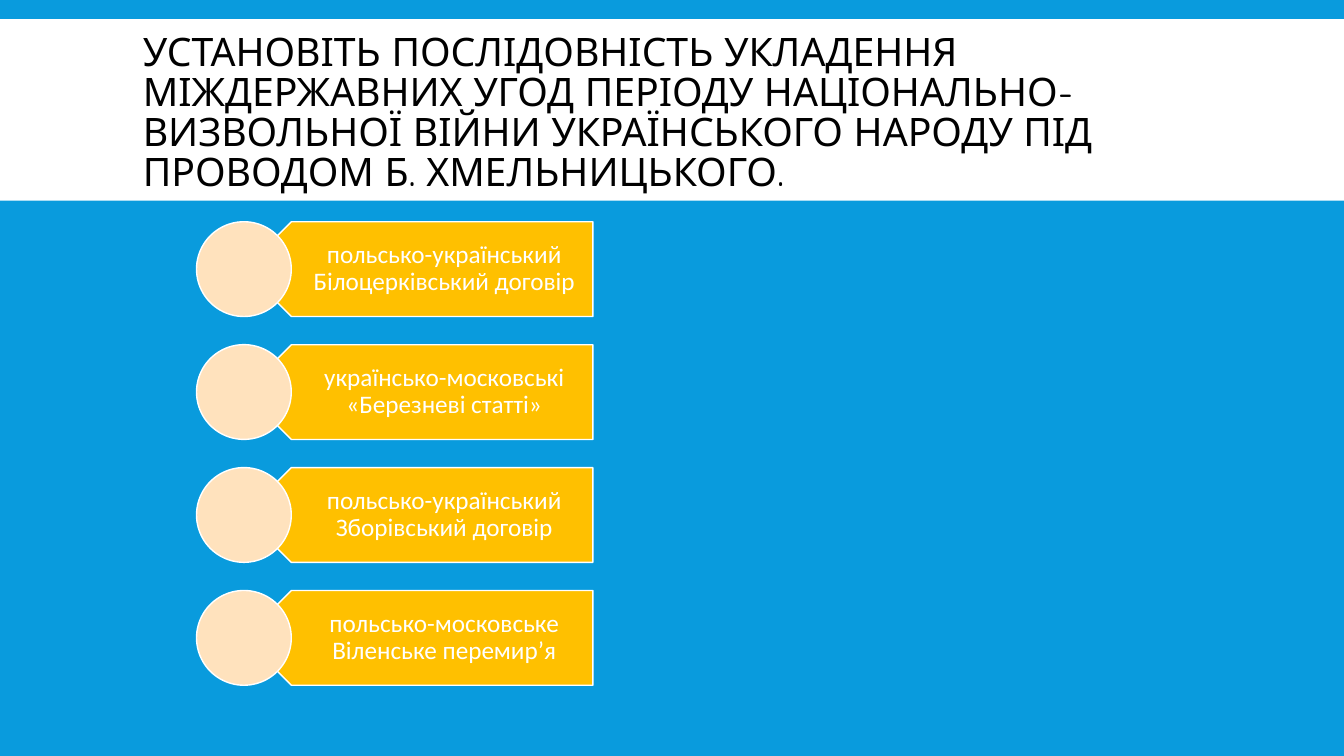
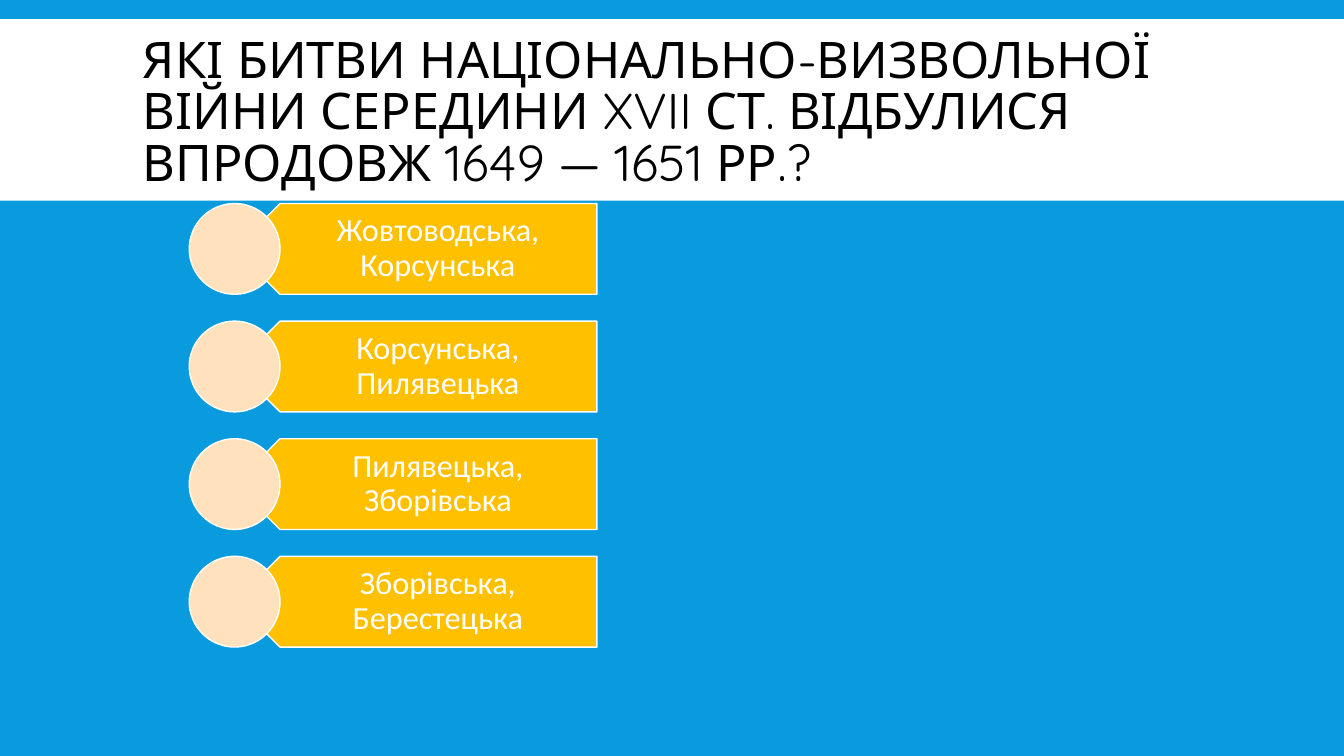
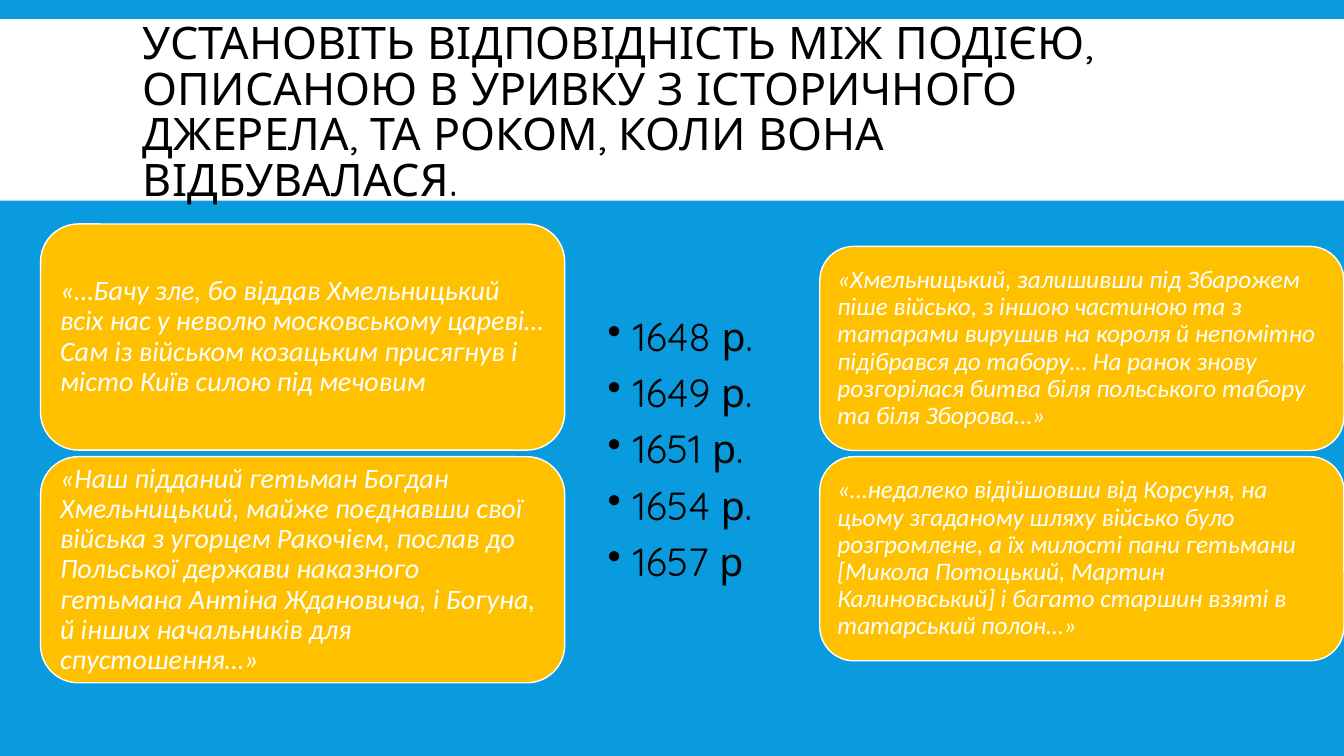
from lxml import etree
from pptx import Presentation
from pptx.dml.color import RGBColor
from pptx.enum.shapes import MSO_SHAPE
from pptx.enum.text import MSO_ANCHOR, PP_ALIGN
from pptx.oxml.ns import qn
from pptx.util import Pt

RECTANGLE = MSO_SHAPE.RECTANGLE
PENTAGON = MSO_SHAPE.PENTAGON
OVAL = MSO_SHAPE.OVAL
ROUNDED = MSO_SHAPE.ROUNDED_RECTANGLE
TOP, MIDDLE = MSO_ANCHOR.TOP, MSO_ANCHOR.MIDDLE
LEFT, CENTER = PP_ALIGN.LEFT, PP_ALIGN.CENTER


def rgb(value):
    return RGBColor.from_string(value)


class Deck:
    BLUE, WHITE, BLACK = "099BDD", "FFFFFF", "000000"
    AMBER, PEACH = "FFC000", "FFE2BD"
    HEADING_FONT, BODY_FONT = "Quicksand", "Calibri"
    WIDTH, HEIGHT = 960, 540

    def __init__(self):
        self.prs = Presentation()
        self.prs.slide_width = Pt(self.WIDTH)
        self.prs.slide_height = Pt(self.HEIGHT)
        self.slide = None

    def add_slide(self, title, size):
        self.slide = self.prs.slides.add_slide(self.prs.slide_layouts[6])
        background = self.slide.background.fill
        background.solid()
        background.fore_color.rgb = rgb(self.BLUE)
        self.shape(RECTANGLE, 0, 13.7, self.WIDTH, 129.6, self.WHITE, outlined=False)
        heading = self.text_box(95, 22.3, 770.4, 118.8)
        self.set_text(heading, [title], size, self.HEADING_FONT, self.BLACK, spacing=0.85)

    def shape(self, preset, left, top, width, height, fill, outlined=True):
        shape = self.slide.shapes.add_shape(preset, Pt(left), Pt(top), Pt(width), Pt(height))
        shape.shadow.inherit = False
        shape.fill.solid()
        shape.fill.fore_color.rgb = rgb(fill)
        if outlined:
            shape.line.color.rgb = rgb(self.WHITE)
            shape.line.width = Pt(1)
        else:
            shape.line.fill.background()
        return shape

    def text_box(self, left, top, width, height):
        return self.slide.shapes.add_textbox(Pt(left), Pt(top), Pt(width), Pt(height))

    def set_text(self, holder, lines, size, font, color, spacing=0.9, align=LEFT,
                 anchor=MIDDLE, insets=(7.2, 3.6, 7.2, 3.6), italic=False,
                 bullet=None, gap=0):
        frame = holder.text_frame
        frame.word_wrap = True
        frame.vertical_anchor = anchor
        (frame.margin_left, frame.margin_top,
         frame.margin_right, frame.margin_bottom) = map(Pt, insets)
        frame.text = "\n".join(lines)
        for index, paragraph in enumerate(frame.paragraphs):
            paragraph.alignment = align
            paragraph.line_spacing = spacing
            if index and gap:
                paragraph.space_before = Pt(gap)
            if bullet:
                self.add_bullet(paragraph, bullet)
            for run in paragraph.runs:
                run.font.size = Pt(size)
                run.font.name = font
                run.font.italic = italic
                run.font.color.rgb = rgb(color)

    def add_bullet(self, paragraph, mark):
        properties = paragraph._p.get_or_add_pPr()
        properties.set("marL", str(Pt(18)))
        properties.set("indent", str(-Pt(18)))
        etree.SubElement(properties, qn("a:buChar")).set("char", mark)

    def options(self, answers, left, top, right, diameter, pitch, size, insets):
        tip = left + diameter / 2
        text_left = tip + diameter / 4
        for row, answer in enumerate(answers):
            y = top + row * pitch
            plate = self.shape(PENTAGON, tip, y, right - tip, diameter, self.AMBER)
            plate.rotation = 180
            label = self.text_box(text_left, y, right - text_left, diameter)
            self.set_text(label, [answer], size, self.BODY_FONT, self.WHITE,
                          align=CENTER, insets=insets)
            self.shape(OVAL, left, y, diameter, diameter, self.PEACH)

    def quotes(self, texts, left, top, height, pitch, size, inset):
        for row, quote in enumerate(texts):
            card = self.shape(ROUNDED, left, top + row * pitch, 374.4, height, self.AMBER)
            self.set_text(card, [quote], size, self.BODY_FONT, self.WHITE,
                          insets=(inset,) * 4, italic=True)

    def bullets(self, lines, left, top, width, height):
        self.set_text(self.text_box(left, top, width, height), lines, 28,
                      self.HEADING_FONT, self.BLACK, anchor=TOP, bullet="•", gap=10)


def main():
    deck = Deck()

    deck.add_slide("УСТАНОВІТЬ ПОСЛІДОВНІСТЬ УКЛАДЕННЯ МІЖДЕРЖАВНИХ УГОД ПЕРІОДУ "
                   "НАЦІОНАЛЬНО-ВИЗВОЛЬНОЇ ВІЙНИ УКРАЇНСЬКОГО НАРОДУ ПІД ПРОВОДОМ "
                   "Б. ХМЕЛЬНИЦЬКОГО.", 28)
    deck.options(["польсько-український Білоцерківський договір",
                  "українсько-московські «Березневі статті»",
                  "польсько-український Зборівський договір",
                  "польсько-московське Віленське перемир’я"],
                 left=140.4, top=158.4, right=423.5, diameter=67.7, pitch=87.8,
                 size=18, insets=(29.8, 5, 9.8, 5))

    deck.add_slide("ЯКІ БИТВИ НАЦІОНАЛЬНО-ВИЗВОЛЬНОЇ ВІЙНИ СЕРЕДИНИ XVII СТ. "
                   "ВІДБУЛИСЯ ВПРОДОВЖ 1649 — 1651 РР.?", 36)
    deck.options(["Жовтоводська, Корсунська",
                  "Корсунська, Пилявецька",
                  "Пилявецька, Зборівська",
                  "Зборівська, Берестецька"],
                 left=135.2, top=145.4, right=426.4, diameter=64.8, pitch=84,
                 size=23, insets=(28.6, 7, 13, 7))

    deck.add_slide("УСТАНОВІТЬ ВІДПОВІДНІСТЬ МІЖ ПОДІЄЮ, ОПИСАНОЮ В УРИВКУ З "
                   "ІСТОРИЧНОГО ДЖЕРЕЛА, ТА РОКОМ, КОЛИ ВОНА ВІДБУВАЛАСЯ.", 32)
    deck.quotes(["«…Бачу зле, бо віддав Хмельницький всіх нас у неволю московському "
                 "цареві… Сам із військом козацьким присягнув і місто Київ силою під "
                 "мечовим",
                 "«Наш підданий гетьман Богдан Хмельницький, майже поєднавши свої "
                 "війська з угорцем Ракочієм, послав до Польської держави наказного "
                 "гетьмана Антіна Ждановича, і Богуна, й інших начальників для "
                 "спустошення…»"],
                left=29, top=160, height=161.5, pitch=166.2, size=20, inset=6)
    deck.quotes(["«Хмельницький, залишивши під Збарожем піше військо, з іншою частиною "
                 "та з татарами вирушив на короля й непомітно підібрався до табору… На "
                 "ранок знову розгорілася битва біля польського табору та біля Зборова…»",
                 "«…недалеко відійшовши від Корсуня, на цьому згаданому шляху військо "
                 "було розгромлене, а їх милості пани гетьмани [Микола Потоцький, Мартин "
                 "Калиновський] і багато старшин взяті в татарський полон…»"],
                left=585.6, top=176, height=145.8, pitch=150.2, size=18, inset=5.4)
    deck.bullets(["1648 р.", "1649 р.", "1651 р.", "1654 р.", "1657 р"],
                 427, 223.2, 408.2, 220.3)

    deck.prs.save("out.pptx")


if __name__ == "__main__":
    main()
